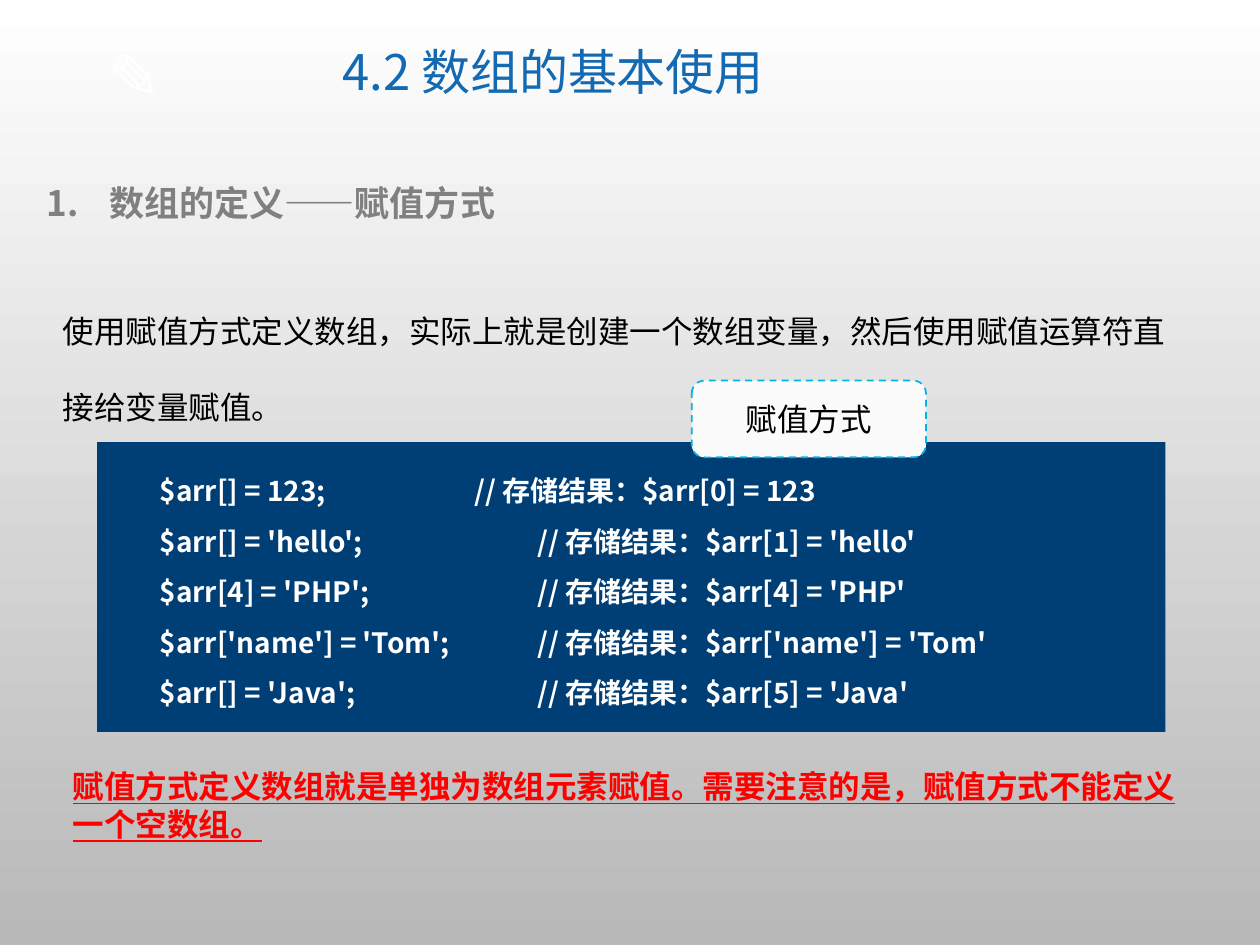
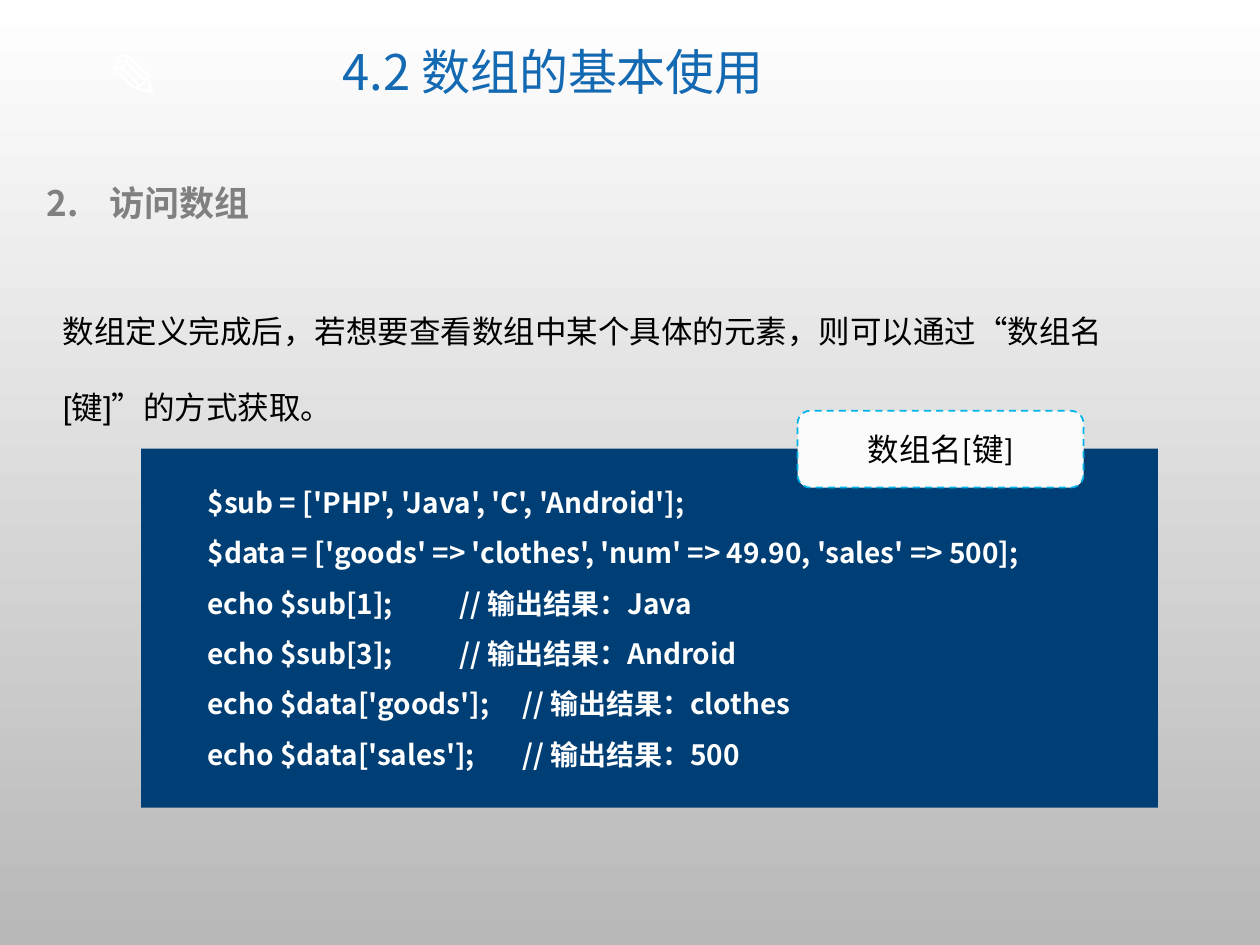
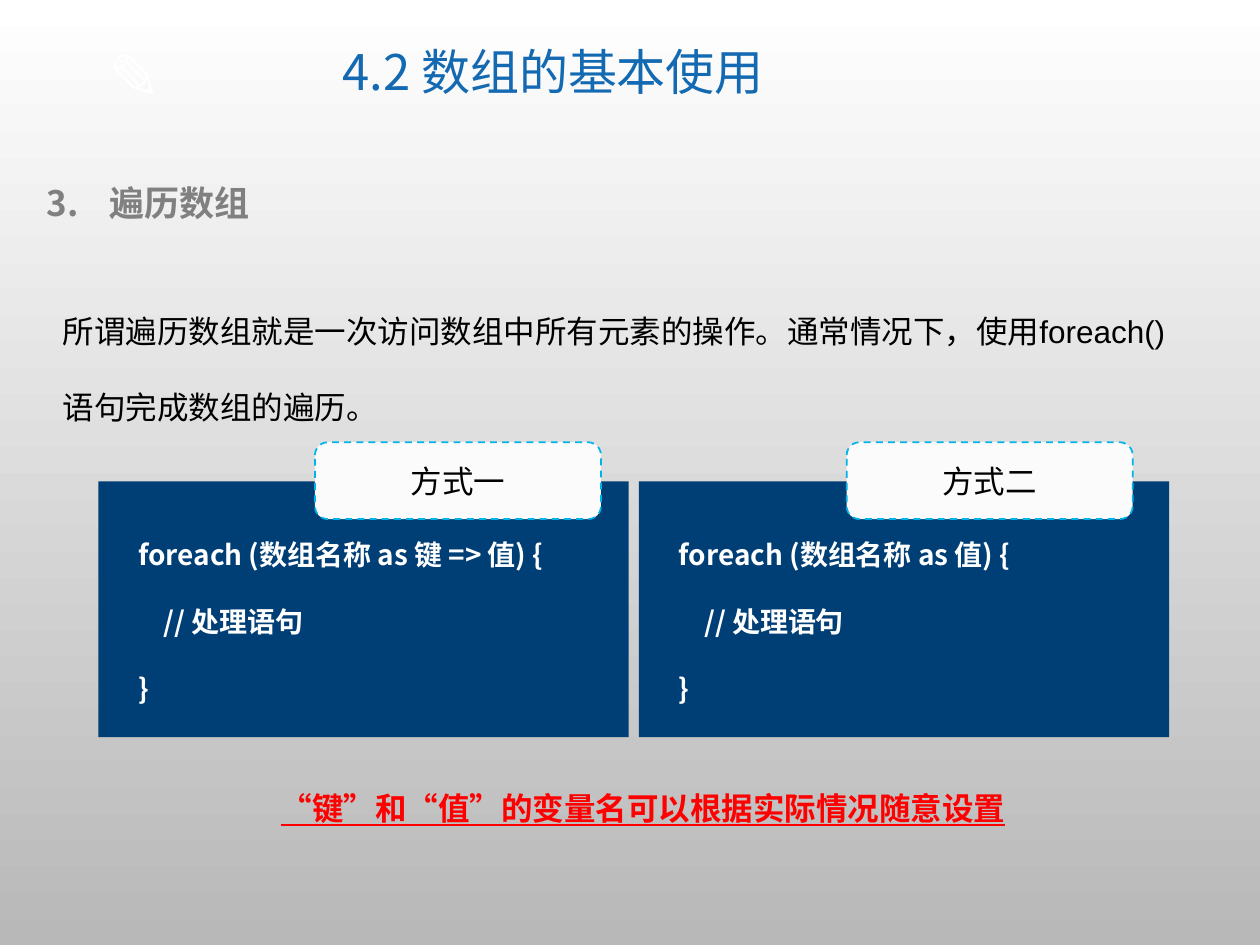
from lxml import etree
from pptx import Presentation
from pptx.dml.color import RGBColor
from pptx.enum.dml import MSO_LINE
from pptx.enum.shapes import MSO_SHAPE
from pptx.enum.text import MSO_ANCHOR, PP_ALIGN
from pptx.oxml.ns import qn
from pptx.util import Inches, Pt

RECT = MSO_SHAPE.RECTANGLE
ROUNDED = MSO_SHAPE.ROUNDED_RECTANGLE
DASH = MSO_LINE.DASH
TOP, MIDDLE = MSO_ANCHOR.TOP, MSO_ANCHOR.MIDDLE
LEFT, CENTER = PP_ALIGN.LEFT, PP_ALIGN.CENTER
CJK = "Noto Sans CJK SC"
COLORS = {
    "page_top": "FFFFFF", "page_bottom": "B8B8B8", "white": "FFFFFF",
    "title": "1369B2", "heading": "808080", "body": "000000",
    "panel": "003F75", "label": "FBFBFB", "label_edge": "00B4E9",
    "note": "FF0000",
}


def color(key):
    return RGBColor.from_string(COLORS[key])


def inches(box):
    return [Inches(length) for length in box]


def number_paragraph(paragraph, number):
    properties = paragraph._p.get_or_add_pPr()
    properties.set("marL", str(Inches(0.5)))
    properties.set("indent", str(-Inches(0.5)))
    etree.SubElement(properties, qn("a:buFont"), typeface=CJK)
    etree.SubElement(properties, qn("a:buAutoNum"), type="arabicPeriod", startAt=str(number))


def write(frame, text, size=18, font=CJK, ink="body", bold=False, underline=False,
          align=LEFT, anchor=TOP, spacing=1.0, number=None):
    frame.word_wrap = True
    frame.vertical_anchor = anchor
    for index, line in enumerate(text.split("\n")):
        paragraph = frame.paragraphs[0] if index == 0 else frame.add_paragraph()
        paragraph.alignment = align
        paragraph.line_spacing = spacing
        if number:
            number_paragraph(paragraph, number)
        run = paragraph.add_run()
        run.text = line
        run.font.size = Pt(size)
        run.font.bold = bold
        run.font.underline = underline
        run.font.color.rgb = color(ink)
        run.font.name = font
        etree.SubElement(run._r.get_or_add_rPr(), qn("a:ea"), typeface=CJK)


def add_text(slide, box, text, **text_format):
    write(slide.shapes.add_textbox(*inches(box)).text_frame, text, **text_format)


def add_block(slide, outline, box, fill):
    block = slide.shapes.add_shape(outline, *inches(box))
    block.shadow.inherit = False
    block.fill.solid()
    block.fill.fore_color.rgb = color(fill)
    block.line.fill.background()
    return block


def add_code_panel(slide, box, code, inset, spacing=1.5):
    left, top, width, height = box
    dx, dy = inset
    add_block(slide, RECT, box, "panel")
    add_text(slide, (left + dx, top + dy, width - dx, height - 2 * dy), code,
             size=16, ink="white", bold=True, spacing=spacing)


def add_label(slide, panel, offset, caption, width=2.27):
    box = (panel[0] + offset[0], panel[1] + offset[1], width, 0.61)
    label = add_block(slide, ROUNDED, box, "label")
    label.line.color.rgb = color("label_edge")
    label.line.width = Pt(1)
    label.line.dash_style = DASH
    write(label.text_frame, caption, font="Calibri", align=CENTER, anchor=MIDDLE)


def add_note(slide, box, text):
    add_text(slide, box, text, font="Arial", ink="note", bold=True, underline=True)


def add_topic(prs, number, heading, intro):
    slide = prs.slides.add_slide(prs.slide_layouts[6])
    add_text(slide, (0.76, 0.24, 0.86, 0.71), "✎", size=36, ink="white", bold=True)
    add_text(slide, (1.81, 0.17, 5.16, 0.85), "4.2 数组的基本使用", size=28, ink="title",
             align=CENTER, anchor=MIDDLE, spacing=0.9)
    add_text(slide, (0.27, 1.39, 9.22, 0.44), heading, size=20, ink="heading",
             bold=True, number=number)
    add_text(slide, (0.4, 2.13, 9.19, 1.31), intro, font="Arial", spacing=2.0)
    return slide


def assignment_slide(prs):
    slide = add_topic(prs, 1, "数组的定义——赋值方式",
                      "使用赋值方式定义数组，实际上就是创建一个数组变量，然后使用赋值运算符直接给变量赋值。")
    panel = (0.77, 3.51, 8.48, 2.3)
    code = "\n".join([
        "$arr[] = 123;\t\t\t// 存储结果：$arr[0] = 123",
        "$arr[] = 'hello';\t\t\t// 存储结果：$arr[1] = 'hello'",
        "$arr[4] = 'PHP';\t\t\t// 存储结果：$arr[4] = 'PHP'",
        "$arr['name'] = 'Tom';\t\t// 存储结果：$arr['name'] = 'Tom'",
        "$arr[] = 'Java';\t\t\t// 存储结果：$arr[5] = 'Java'",
    ])
    add_code_panel(slide, panel, code, (0.4, 0.07))
    add_label(slide, panel, (4.72, -0.49), "赋值方式", width=1.86)
    add_note(slide, (0.48, 6.04, 9.1, 0.71),
             "赋值方式定义数组就是单独为数组元素赋值。需要注意的是，赋值方式不能定义一个空数组。")


def access_slide(prs):
    slide = add_topic(prs, 2, "访问数组",
                      "数组定义完成后，若想要查看数组中某个具体的元素，则可以通过“数组名[键]”的方式获取。")
    panel = (1.12, 3.56, 8.07, 2.85)
    code = "\n".join([
        "$sub = ['PHP', 'Java', 'C', 'Android'];",
        "$data = ['goods' => 'clothes', 'num' => 49.90, 'sales' => 500];",
        "echo $sub[1];\t\t// 输出结果：Java",
        "echo $sub[3];\t\t// 输出结果：Android",
        "echo $data['goods'];\t// 输出结果：clothes",
        "echo $data['sales'];\t// 输出结果：500",
    ])
    add_code_panel(slide, panel, code, (0.43, 0.11))
    add_label(slide, panel, (5.21, -0.3), "数组名[键]")


def traversal_slide(prs):
    slide = add_topic(prs, 3, "遍历数组",
                      "所谓遍历数组就是一次访问数组中所有元素的操作。通常情况下，使用foreach()语句完成数组的遍历。")
    ways = [("方式一", "键 => 值", 1.72), ("方式二", "值", 1.65)]
    for index, (caption, target, label_left) in enumerate(ways):
        panel = (0.78 + 4.29 * index, 3.82, 4.21, 2.03)
        code = f"foreach (数组名称 as {target}) {{\n    // 处理语句\n}}"
        add_code_panel(slide, panel, code, (0.22, 0.13), spacing=2.0)
        add_label(slide, panel, (label_left, -0.31), caption)
    add_note(slide, (2.13, 6.21, 6.1, 0.4), "“键”和“值”的变量名可以根据实际情况随意设置")


def set_background(prs):
    fill = prs.slide_master.background.fill
    fill.gradient()
    fill.gradient_angle = 270
    for stop, key, position in zip(fill.gradient_stops, ("page_top", "page_bottom"), (0, 1)):
        stop.color.rgb = color(key)
        stop.position = position


def main():
    prs = Presentation()
    prs.slide_width, prs.slide_height = Inches(10), Inches(7.5)
    set_background(prs)
    assignment_slide(prs)
    access_slide(prs)
    traversal_slide(prs)
    prs.save("out.pptx")


if __name__ == "__main__":
    main()
